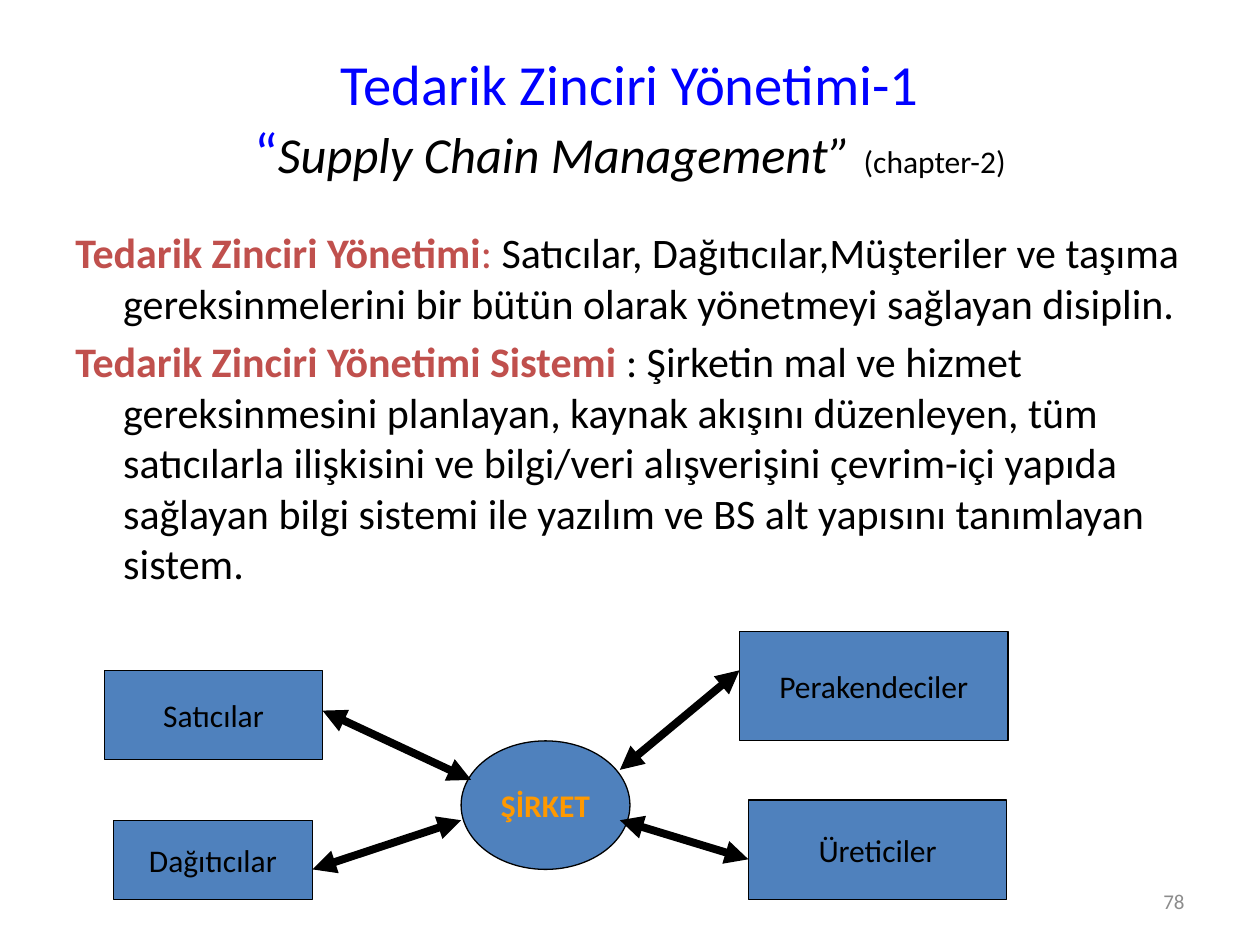
from dataclasses import dataclass

from lxml.etree import SubElement
from pptx import Presentation
from pptx.dml.color import RGBColor
from pptx.enum.shapes import MSO_CONNECTOR, MSO_SHAPE
from pptx.enum.text import MSO_ANCHOR, MSO_AUTO_SIZE, PP_ALIGN
from pptx.oxml.ns import qn
from pptx.util import Inches, Pt


@dataclass(frozen=True)
class Theme:
    """Colours, font and type sizes of the slide."""
    font: str = "Calibri"
    ink: str = "000000"
    title: str = "0000FF"
    term: str = "C0504D"
    node: str = "4F81BD"
    company: str = "FF9900"
    muted: str = "8C8C8C"
    title_size: float = 32.4
    subtitle_size: float = 28.8
    body_size: float = 24
    label_size: float = 18
    number_size: float = 12


THEME = Theme()


def add_text(paragraph, text, size=THEME.label_size, color=THEME.ink, bold=False, italic=False):
    """Append one formatted run to a paragraph."""
    run = paragraph.add_run()
    run.text = text
    font = run.font
    font.name, font.size = THEME.font, Pt(size)
    font.bold, font.italic = bold, italic
    font.color.rgb = RGBColor.from_string(color)


def set_frame(frame, anchor, wrap=True):
    """Set the anchoring and wrapping of a text frame."""
    frame.auto_size = MSO_AUTO_SIZE.NONE
    frame.vertical_anchor = anchor
    frame.word_wrap = wrap


def add_title(slide):
    """Place the two-line title in its placeholder."""
    title = slide.shapes.title
    title.left, title.top, title.width, title.height = map(Inches, (0.5, 0.3, 9, 1.25))
    set_frame(title.text_frame, MSO_ANCHOR.MIDDLE)
    heading = title.text_frame.paragraphs[0]
    heading.alignment = PP_ALIGN.CENTER
    add_text(heading, "Tedarik Zinciri Yönetimi-1", size=THEME.title_size, color=THEME.title)
    heading.add_line_break()
    add_text(heading, "“", size=THEME.title_size, color=THEME.title)
    add_text(heading, "Supply Chain Management”", size=THEME.subtitle_size, italic=True)
    add_text(heading, " ", size=THEME.title_size, italic=True)
    add_text(heading, "(chapter-2)")


def add_text_box(slide, box, anchor):
    """Add a wrapping text box and return its text frame."""
    frame = slide.shapes.add_textbox(*map(Inches, box)).text_frame
    set_frame(frame, anchor)
    return frame


def add_definitions(slide, definitions):
    """Write each term and its meaning as a hanging paragraph."""
    frame = add_text_box(slide, (0.5, 1.75, 9, 4.95), MSO_ANCHOR.TOP)
    for index, (term, colon, colon_color, meaning) in enumerate(definitions):
        entry = frame.add_paragraph() if index else frame.paragraphs[0]
        entry.space_before = Pt(0.2 * THEME.body_size)
        properties = entry._p.get_or_add_pPr()
        properties.set("marL", str(Inches(0.38)))
        properties.set("indent", str(Inches(-0.38)))
        add_text(entry, term, size=THEME.body_size, color=THEME.term, bold=True)
        add_text(entry, colon, size=THEME.body_size, color=colon_color)
        add_text(entry, meaning, size=THEME.body_size)


def add_node(slide, preset, label, box, **text_format):
    """Add one labelled node of the supply chain diagram."""
    node = slide.shapes.add_shape(preset, *map(Inches, box))
    node.shadow.inherit = False
    node.fill.solid()
    node.fill.fore_color.rgb = RGBColor.from_string(THEME.node)
    node.line.color.rgb = RGBColor.from_string(THEME.ink)
    node.line.width = Pt(0.75)
    set_frame(node.text_frame, MSO_ANCHOR.MIDDLE, wrap=False)
    caption = node.text_frame.paragraphs[0]
    caption.alignment = PP_ALIGN.CENTER
    add_text(caption, label, **text_format)


def add_two_way_arrow(slide, start, end):
    """Draw a thick line with a triangle at both ends."""
    arrow = slide.shapes.add_connector(MSO_CONNECTOR.STRAIGHT, *map(Inches, start + end))
    arrow.line.color.rgb = RGBColor.from_string(THEME.ink)
    arrow.line.width = Pt(4.5)
    outline = arrow.line._get_or_add_ln()
    for arrowhead in ("a:headEnd", "a:tailEnd"):
        SubElement(outline, qn(arrowhead), type="triangle")
    SubElement(arrow._element.spPr, qn("a:effectLst"))


def add_slide_number(slide, number):
    """Write the slide number at the bottom right."""
    frame = add_text_box(slide, (7.17, 6.95, 2.33, 0.4), MSO_ANCHOR.MIDDLE)
    frame.paragraphs[0].alignment = PP_ALIGN.RIGHT
    add_text(frame.paragraphs[0], number, size=THEME.number_size, color=THEME.muted)


def main():
    """Build and save the supply chain slide."""
    definitions = (
        ("Tedarik Zinciri Yönetimi", ":", THEME.term,
         " Satıcılar, Dağıtıcılar,Müşteriler ve taşıma gereksinmelerini bir bütün "
         "olarak yönetmeyi sağlayan disiplin."),
        ("Tedarik Zinciri Yönetimi Sistemi", " :", THEME.ink,
         " Şirketin mal ve hizmet gereksinmesini planlayan, kaynak akışını düzenleyen, "
         "tüm satıcılarla ilişkisini ve bilgi/veri alışverişini çevrim-içi yapıda "
         "sağlayan bilgi sistemi ile yazılım ve BS alt yapısını tanımlayan sistem."),
    )
    partners = (
        ("Satıcılar", (0.83, 5.32, 1.73, 0.71)),
        ("Perakendeciler", (5.87, 5.01, 2.13, 0.87)),
        ("Üreticiler", (5.94, 6.35, 2.05, 0.79)),
        ("Dağıtıcılar", (0.9, 6.51, 1.58, 0.63)),
    )
    flows = (
        ((2.56, 5.64), (3.74, 6.19)),
        ((2.48, 6.9), (3.66, 6.51)),
        ((5.87, 5.32), (4.92, 6.11)),
        ((5.94, 6.82), (4.92, 6.51)),
    )
    deck = Presentation()
    deck.slide_width, deck.slide_height = Inches(10), Inches(7.5)
    slide = deck.slides.add_slide(deck.slide_layouts.get_by_name("Title Only"))
    add_title(slide)
    add_definitions(slide, definitions)
    add_node(slide, MSO_SHAPE.OVAL, "ŞİRKET", (3.66, 5.88, 1.34, 1.02),
             color=THEME.company, bold=True)
    for partner, box in partners:
        add_node(slide, MSO_SHAPE.RECTANGLE, partner, box)
    for partner_end, company_end in flows:
        add_two_way_arrow(slide, partner_end, company_end)
    add_slide_number(slide, "78")
    deck.save("out.pptx")


if __name__ == "__main__":
    main()
